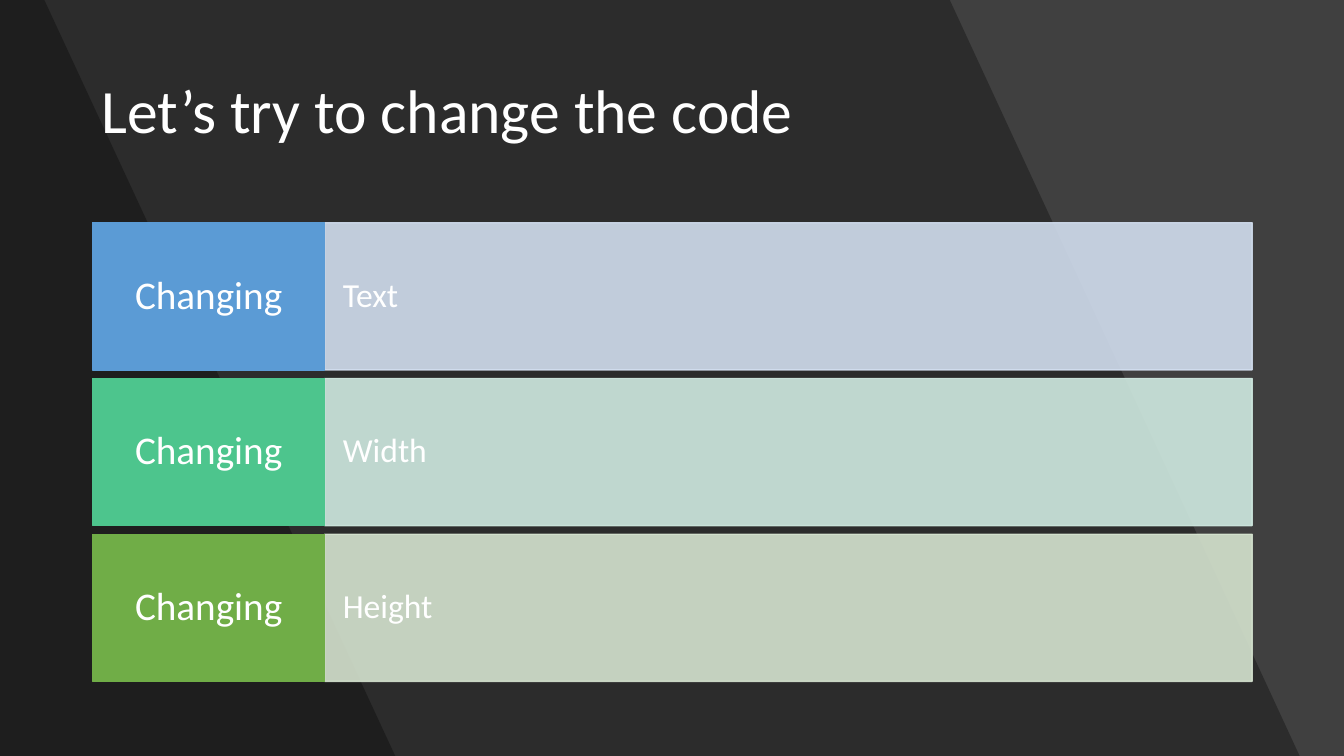
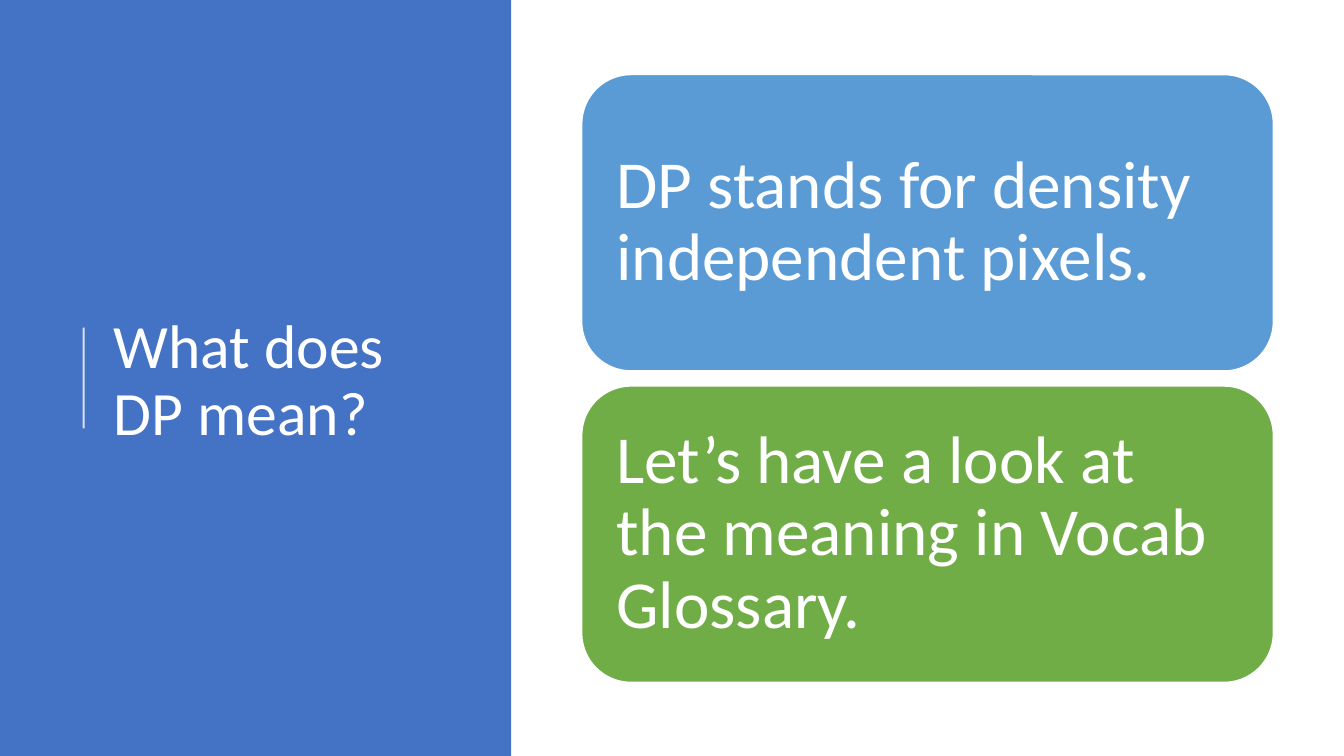
from dataclasses import dataclass

from lxml import etree
from pptx import Presentation
from pptx.dml import color
from pptx.enum import shapes, text
from pptx.oxml import ns
from pptx.slide import Slide
from pptx.util import Inches, Pt

FONT = "Calibri"
WHITE, BLACK, CHARCOAL = "FFFFFF", "000000", "404040"
PANEL_BLUE, BLUE, MINT, GREEN = "4472C4", "5B9BD5", "4DC58D", "70AD47"
SLIDE_WIDTH, SLIDE_HEIGHT = 13.33, 7.5
TITLE_SIZE = 44


@dataclass(frozen=True)
class Box:
    left: float
    top: float
    width: float
    height: float

    def lengths(self) -> list:
        return [Inches(v) for v in (self.left, self.top, self.width, self.height)]


@dataclass(frozen=True)
class ChangeRow:
    detail: str
    strong: str
    pale: str


@dataclass(frozen=True)
class Card:
    message: str
    fill: str


CHANGE_ROWS = [
    ChangeRow("Text", BLUE, "D2DEEF"),
    ChangeRow("Width", MINT, "D0EAE1"),
    ChangeRow("Height", GREEN, "D5E3CF"),
]
CARDS = [
    Card("DP stands for density independent pixels.", BLUE),
    Card("Let’s have a look at the meaning in Vocab Glossary.", GREEN),
]


def paint(fill_format, hex_color: str, opacity: int = 100) -> None:
    """Make a fill solid, with opacity in percent."""
    fill_format.solid()
    fill_format.fore_color.rgb = color.RGBColor.from_string(hex_color)
    if opacity < 100:
        for element in fill_format._xPr.iter(ns.qn("a:srgbClr")):
            alpha = etree.SubElement(element, ns.qn("a:alpha"))
            alpha.set("val", str(opacity * 1000))


def write(shape, words: str, size: int, inset: float = 0.1,
          align=text.PP_ALIGN.LEFT) -> None:
    """Put white, vertically centred text in a shape."""
    frame = shape.text_frame
    frame.word_wrap = True
    frame.vertical_anchor = text.MSO_ANCHOR.MIDDLE
    frame.margin_left = frame.margin_right = Inches(inset)
    paragraph = frame.paragraphs[0]
    paragraph.alignment = align
    paragraph.line_spacing = 0.9
    run = paragraph.add_run()
    run.text = words
    run.font.name = FONT
    run.font.size = Pt(size)
    paint(run.font.fill, WHITE)


def add_block(slide: Slide, box: Box, fill: str, outline: str = "",
              opacity: int = 100, kind=shapes.MSO_SHAPE.RECTANGLE):
    shape = slide.shapes.add_shape(kind, *box.lengths())
    shape.shadow.inherit = False
    paint(shape.fill, fill, opacity)
    if outline:
        shape.line.width = Pt(1)
        paint(shape.line.fill, outline, opacity)
    else:
        shape.line.fill.background()
    return shape


def add_slanted_band(slide: Slide, top_right: float, bottom_right: float) -> None:
    """Darken the area left of a slanted edge."""
    corners = [(top_right, 0), (bottom_right, SLIDE_HEIGHT), (0, SLIDE_HEIGHT)]
    builder = slide.shapes.build_freeform(0, 0)
    builder.add_line_segments([(Inches(x), Inches(y)) for x, y in corners])
    band = builder.convert_to_shape()
    band.shadow.inherit = False
    paint(band.fill, BLACK, 30)
    band.line.fill.background()


def add_title(slide: Slide, words: str, box: Box) -> None:
    write(slide.shapes.add_textbox(*box.lengths()), words, TITLE_SIZE)


def add_rule(slide: Slide, x: float, top: float, bottom: float) -> None:
    rule = slide.shapes.add_connector(
        shapes.MSO_CONNECTOR.STRAIGHT,
        Inches(x), Inches(bottom), Inches(x), Inches(top))
    rule.line.width = Pt(1.5)
    paint(rule.line.fill, WHITE, 80)
    etree.SubElement(rule._element.spPr, ns.qn("a:effectLst"))


def new_slide(presentation, background: str) -> Slide:
    slide = presentation.slides.add_slide(presentation.slide_layouts[6])
    paint(slide.background.fill, background)
    return slide


def build_change_slide(presentation) -> None:
    slide = new_slide(presentation, CHARCOAL)
    add_slanted_band(slide, 9.42, 12.89)
    add_slanted_band(slide, 0.44, 3.92)
    add_title(slide, "Let’s try to change the code", Box(0.91, 0.4, 11.51, 1.45))

    left, top, height, pitch = 0.92, 2.21, 1.46, 1.545
    label_width, detail_width = 2.3, 9.2
    for index, row in enumerate(CHANGE_ROWS):
        y = top + index * pitch
        detail = add_block(slide, Box(left + label_width, y, detail_width, height),
                           row.pale, row.pale, 90)
        write(detail, row.detail, 24, 0.18)
        label = add_block(slide, Box(left, y, label_width, height),
                          row.strong, row.strong)
        write(label, "Changing", 28, 0.12, text.PP_ALIGN.CENTER)


def build_meaning_slide(presentation) -> None:
    slide = new_slide(presentation, WHITE)
    add_block(slide, Box(0, 0, 5.07, SLIDE_HEIGHT), PANEL_BLUE)
    add_rule(slide, 0.83, 3.25, 4.25)
    add_title(slide, "What does DP mean?", Box(1.03, 0.78, 3.69, 6.02))

    top, height, gap = 0.74, 2.94, 0.15
    for index, card in enumerate(CARDS):
        box = Box(5.77, top + index * (height + gap), 6.86, height)
        shape = add_block(slide, box, card.fill, WHITE,
                          kind=shapes.MSO_SHAPE.ROUNDED_RECTANGLE)
        write(shape, card.message, 48, 0.2)


def main() -> None:
    presentation = Presentation()
    presentation.slide_width = Inches(SLIDE_WIDTH)
    presentation.slide_height = Inches(SLIDE_HEIGHT)
    build_change_slide(presentation)
    build_meaning_slide(presentation)
    presentation.save("out.pptx")


if __name__ == "__main__":
    main()
